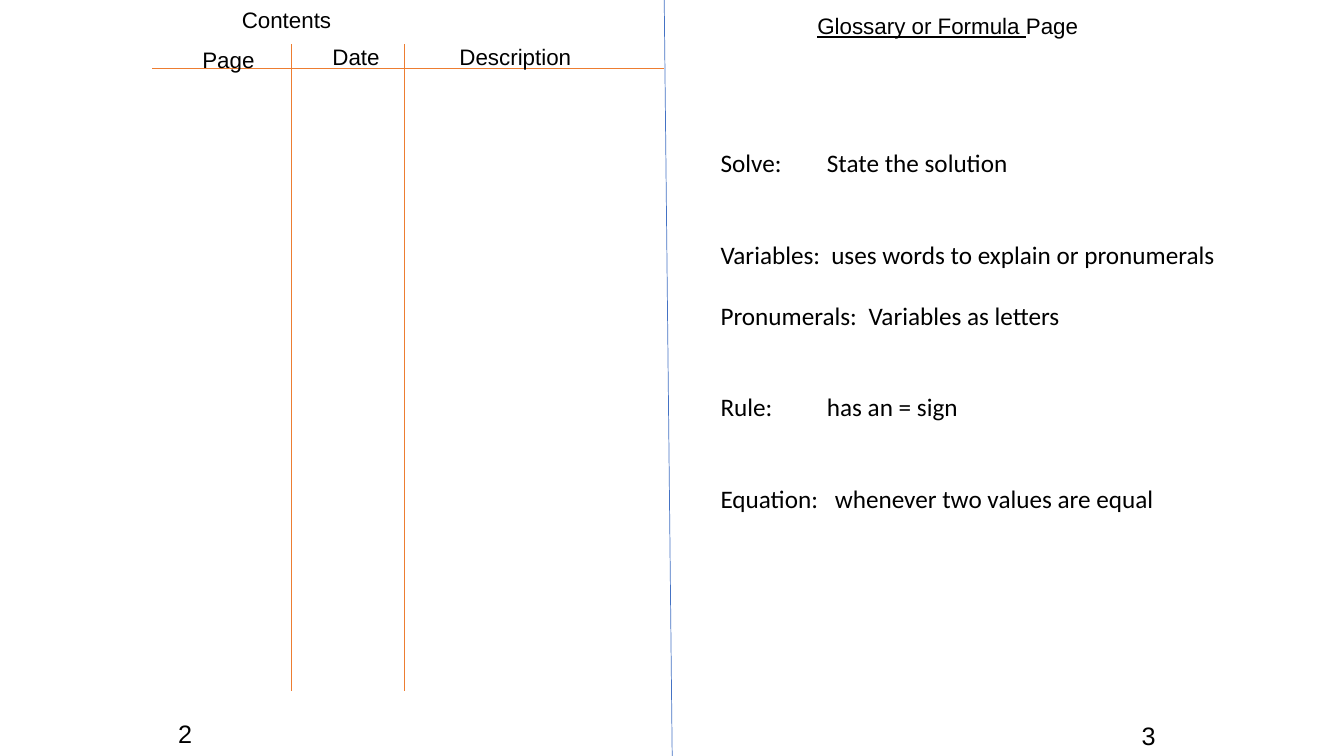
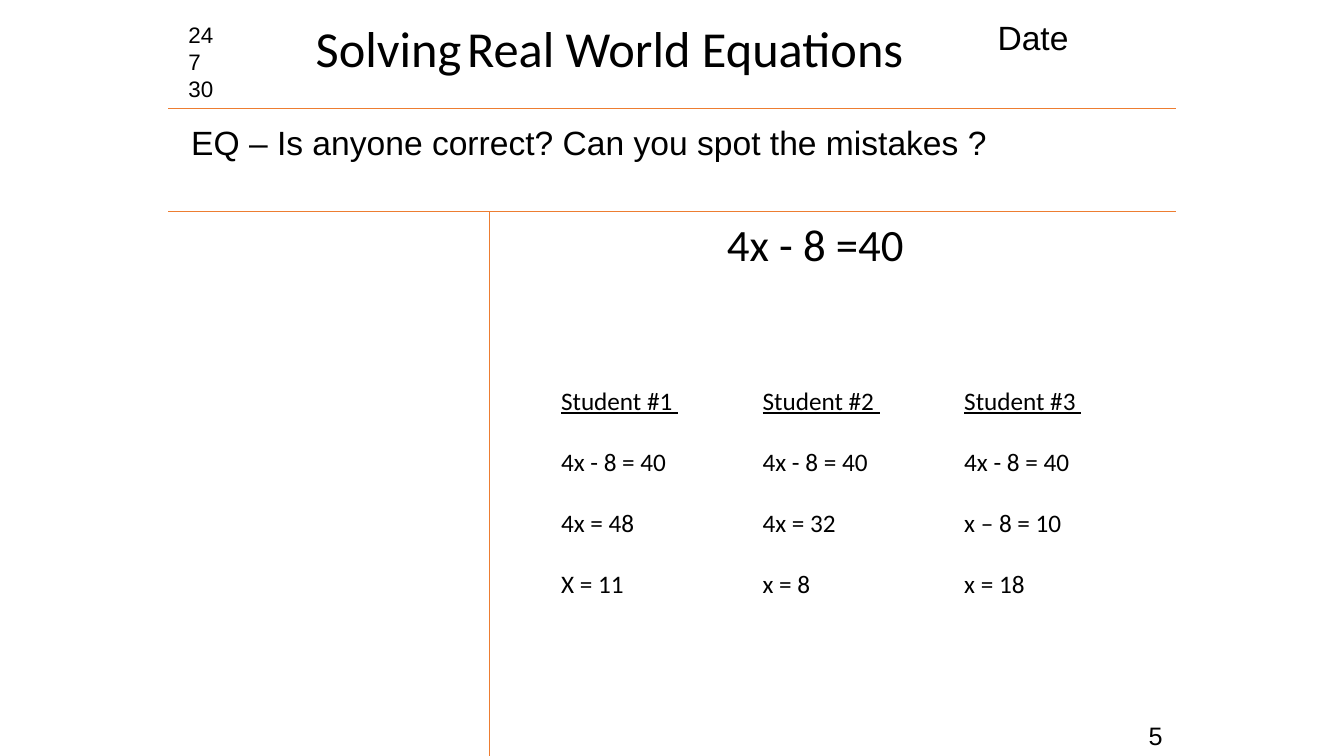
from lxml import etree
from pptx import Presentation
from pptx.dml.color import RGBColor
from pptx.enum.shapes import MSO_CONNECTOR
from pptx.enum.text import MSO_ANCHOR, MSO_AUTO_SIZE, PP_ALIGN
from pptx.oxml.ns import qn
from pptx.util import Cm, Pt

STRAIGHT = MSO_CONNECTOR.STRAIGHT
TOP = MSO_ANCHOR.TOP
GROW = MSO_AUTO_SIZE.SHAPE_TO_FIT_TEXT
LEFT, CENTER = PP_ALIGN.LEFT, PP_ALIGN.CENTER

# Shared look
WIDTH, HEIGHT = 33.87, 19.05
TITLE_ONLY = 5
BLACK, BLUE, ORANGE = "000000", "4472C4", "ED7D31"
HEADING_FONT, BODY_FONT = "Arial", "Calibri"
LINE_WIDTH = 0.5
BODY_LINE = 22  # height of one 18 pt body line, in points

GLOSSARY = [  # term, meaning, tab position in cm, empty lines above
    ("Solve:", "State the solution", 2.68, 0),
    ("Variables:", "uses words to explain or pronumerals", 2.79, 2),
    ("Pronumerals:", "Variables as letters", 3.73, 1),
    ("Rule:", "has an = sign", 2.68, 2),
    ("Equation:", "whenever two values are equal", 2.88, 2),
]
STUDENTS = ["Student #1 ", "Student #2 ", "Student #3 "]
STEPS = [
    ["4x - 8 = 40", "4x - 8 = 40", "4x - 8 = 40"],
    ["4x = 48", "4x = 32", "x – 8 = 10"],
    ["X = 11", "x = 8", "x = 18"],
]
STUDENT_STEP = 5.08


def color(hex_text):
    return RGBColor.from_string(hex_text)


def add_span(para, text, size, font=HEADING_FONT, underline=False):
    span = para.add_run()
    span.text = text
    span.font.size = Pt(size)
    span.font.name = font
    span.font.color.rgb = color(BLACK)
    span.font.underline = underline


def add_tabs(para, positions):
    tabs = etree.SubElement(para._p.get_or_add_pPr(), qn("a:tabLst"))
    for position in positions:
        etree.SubElement(tabs, qn("a:tab"), pos=str(Cm(position)), algn="l")


def prepare(box, left, top, width, height):
    box.left, box.top = Cm(left), Cm(top)
    box.width, box.height = Cm(width), Cm(height)
    frame = box.text_frame
    frame.word_wrap = True
    frame.auto_size = GROW
    frame.vertical_anchor = TOP
    return frame


def add_box(page, left, top, width, height):
    box = page.shapes.add_textbox(0, 0, 0, 0)
    return prepare(box, left, top, width, height)


def add_title(page, left, top, width, height):
    para = prepare(page.shapes.title, left, top, width, height).paragraphs[0]
    para.alignment = LEFT
    return para


def next_para(frame, index):
    return frame.add_paragraph() if index else frame.paragraphs[0]


def add_label(page, left, top, width, height, lines, size,
              font=HEADING_FONT, align=LEFT):
    frame = add_box(page, left, top, width, height)
    for index, line in enumerate(lines):
        para = next_para(frame, index)
        para.alignment = align
        add_span(para, line, size, font)


def add_page_number(page, left, top, number):
    add_label(page, left, top, 1.5, 1.02, [number], 18)


def add_rule(page, x1, y1, x2, y2, line_color=ORANGE):
    rule = page.shapes.add_connector(STRAIGHT, Cm(x1), Cm(y1), Cm(x2), Cm(y2))
    rule.line.color.rgb = color(line_color)
    rule.line.width = Pt(LINE_WIDTH)
    etree.SubElement(rule._element.spPr, qn("a:effectLst"))


def add_glossary(page):
    frame = add_box(page, 17.91, 3.58, 14, 11.18)
    for index, (term, meaning, tab, empty_lines) in enumerate(GLOSSARY):
        para = next_para(frame, index)
        para.space_before = Pt(empty_lines * BODY_LINE)
        add_tabs(para, [tab])
        add_span(para, f"{term}\t{meaning}", 18, BODY_FONT)


def add_student_work(page):
    frame = add_box(page, 13.89, 9.58, 14.2, 5.64)
    for index, cells in enumerate([STUDENTS] + STEPS):
        para = next_para(frame, index)
        para.space_before = Pt(BODY_LINE if index else 0)
        add_tabs(para, [STUDENT_STEP, 2 * STUDENT_STEP])
        for column, cell in enumerate(cells):
            if column:
                add_span(para, "\t", 18, BODY_FONT)
            add_span(para, cell, 18, BODY_FONT, underline=index == 0)


def build_contents(page):
    # Fold between the two notebook pages
    add_rule(page, 16.74, 0, 16.94, HEIGHT, BLUE)

    # Contents page
    add_span(add_title(page, 5.84, 0.03, 2.85, 0.94), "Contents", 16)
    add_rule(page, 3.84, 1.73, 16.74, 1.73)
    for x in (7.34, 10.19):
        add_rule(page, x, 1.12, x, 17.42)
    for left, top, width, text in ((4.85, 1.04, 1.9, "Page"),
                                   (8.13, 0.97, 1.8, "Date"),
                                   (11.33, 0.97, 3.89, "Description")):
        add_label(page, left, top, width, 0.94, [text], 16)
    add_page_number(page, 4.24, 17.98, "2")

    # Glossary page
    heading = add_box(page, 20.35, 0.18, 7.21, 0.94).paragraphs[0]
    add_span(heading, "Glossary or Formula ", 16, underline=True)
    add_span(heading, "Page", 16)
    add_glossary(page)
    add_page_number(page, 28.52, 18.03, "3")


def build_equations(page):
    # Heading band
    title = add_title(page, 7.7, 0.3, 15.39, 1.8)
    for text, size in (("Solving", 36), (" ", 18), ("Real World Equations", 36)):
        add_span(title, text, size, BODY_FONT)
    add_label(page, 4.5, 0.41, 1.6, 2.31, ["24", "7", "30"], 16)
    add_label(page, 24.89, 0.3, 4.39, 1.3, ["Date"], 24)
    add_label(page, 4.57, 2.95, 23.95, 1.27,
              ["EQ – Is anyone correct? Can you spot the mistakes ?"], 24)

    # Ruled areas
    for y in (2.72, 5.33):
        add_rule(page, 4.24, y, 29.64, y)
    add_rule(page, 12.34, 5.33, 12.34, HEIGHT)

    # Equation and student answers
    add_label(page, 17.45, 5.33, 6.2, 1.63, ["4x - 8 =40"], 32,
              BODY_FONT, CENTER)
    add_student_work(page)
    add_page_number(page, 28.7, 18.03, "5")


def main():
    deck = Presentation()
    deck.slide_width, deck.slide_height = Cm(WIDTH), Cm(HEIGHT)
    for build in (build_contents, build_equations):
        build(deck.slides.add_slide(deck.slide_layouts[TITLE_ONLY]))
    deck.save("out.pptx")


if __name__ == "__main__":
    main()
